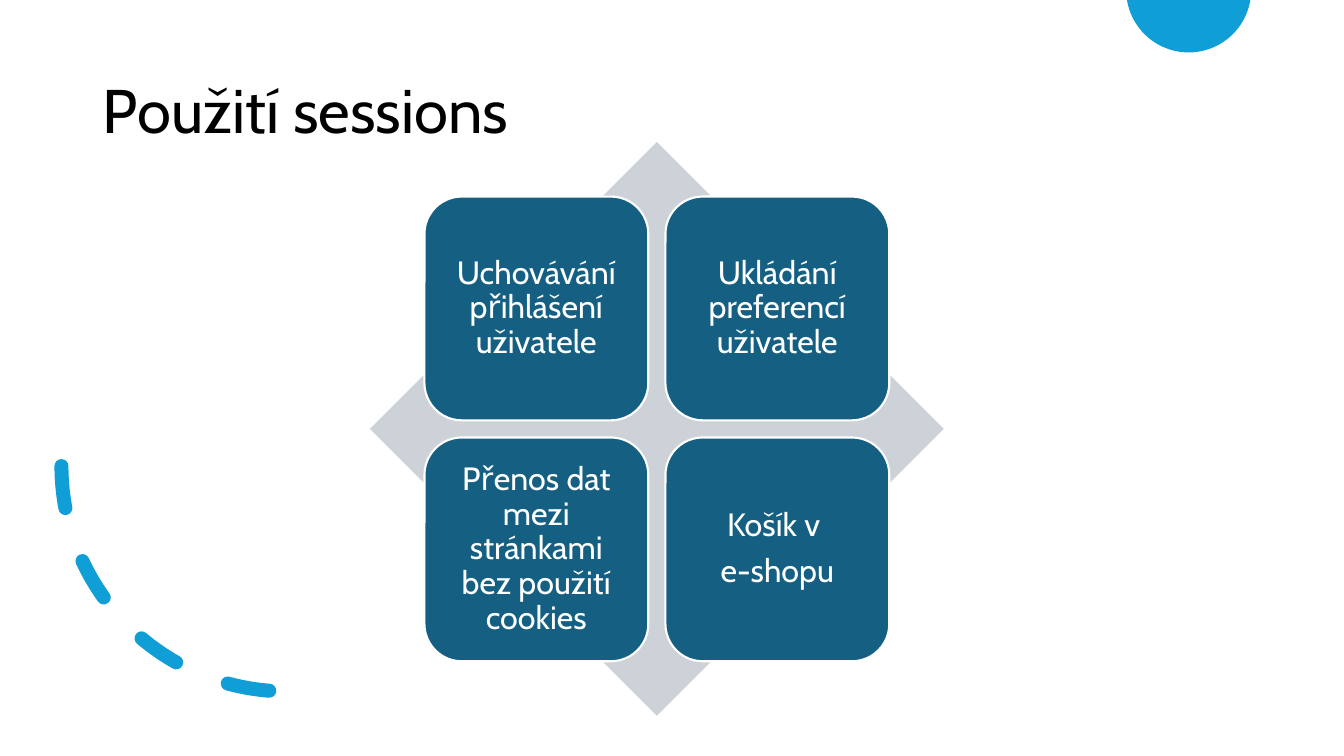
import math
from lxml import etree
from pptx import Presentation
from pptx.dml.color import RGBColor
from pptx.enum.dml import MSO_LINE
from pptx.enum.shapes import MSO_SHAPE
from pptx.enum.text import MSO_ANCHOR, PP_ALIGN
from pptx.util import Pt

PX = 9144
DASH = MSO_LINE.DASH
ARC, DIAMOND, ROUNDED = MSO_SHAPE.ARC, MSO_SHAPE.DIAMOND, MSO_SHAPE.ROUNDED_RECTANGLE
MIDDLE = MSO_ANCHOR.MIDDLE
LEFT, CENTER = PP_ALIGN.LEFT, PP_ALIGN.CENTER
BLUE, TEAL, GREY, WHITE, BLACK = "0F9ED5", "156082", "CCD2D8", "FFFFFF", "000000"


def color(target, value):
    if hasattr(target, "solid"):
        target.solid()
        target = target.fore_color
    target.rgb = RGBColor.from_string(value)


def write(shape, text, size, ink, align, margin=10, after=0):
    frame = shape.text_frame
    frame.word_wrap = True
    frame.vertical_anchor = MIDDLE
    frame.margin_left = frame.margin_right = margin * PX
    frame.margin_top = frame.margin_bottom = min(margin, 10) * PX
    frame.text = text
    for paragraph in frame.paragraphs:
        paragraph.alignment = align
        paragraph.line_spacing = 0.9
        paragraph.space_before = Pt(0)
        paragraph.space_after = Pt(after)
        paragraph.font.size = Pt(size)
        paragraph.font.name = "Cabin"
        color(paragraph.font.color, ink)


deck = Presentation()
deck.slide_width, deck.slide_height = 1333 * PX, 750 * PX
slide = deck.slides.add_slide(deck.slide_layouts[5])
shapes = slide.shapes

heading = shapes.title
heading.left, heading.top, heading.width, heading.height = 92 * PX, 40 * PX, 1150 * PX, 145 * PX
write(heading, "Použití sessions", 44, BLACK, LEFT)

center_x, center_y, radius, steps = 1179, -10, 62, 60
start = math.asin(-center_y / radius)
sweep = math.pi - 2 * start
rim = []
for step in range(steps + 1):
    angle = start + sweep * step / steps
    rim.append((round((center_x + radius * math.cos(angle)) * PX),
                round((center_y + radius * math.sin(angle)) * PX)))
outline = shapes.build_freeform(*rim[0])
outline.add_line_segments(rim[1:], close=True)
corner_disc = outline.convert_to_shape()
color(corner_disc.fill, BLUE)
corner_disc.line.fill.background()
corner_disc.shadow.inherit = False

dashed_arc = shapes.add_shape(ARC, 61 * PX, 239 * PX, 447 * PX, 447 * PX)
dashed_arc.rotation = 90
dashed_arc._element.spPr.xfrm.set("flipV", "1")
dashed_arc.fill.background()
color(dashed_arc.line.fill, BLUE)
dashed_arc.line.width = Pt(10)
dashed_arc.line.dash_style = DASH
dashed_arc.shadow.inherit = False
stroke = dashed_arc.line._get_or_add_ln()
stroke.set("cap", "rnd")
etree.SubElement(stroke, stroke.tag.replace("}ln", "}round"))

backdrop = shapes.add_shape(DIAMOND, 367 * PX, 141 * PX, 569 * PX, 569 * PX)
color(backdrop.fill, GREY)
backdrop.line.fill.background()
backdrop.shadow.inherit = False

uses = [
    "Uchovávání přihlášení uživatele",
    "Ukládání preferencí uživatele",
    "Přenos dat mezi stránkami bez použití cookies",
    "Košík v \ne-shopu",
]
tile, pitch = 222, 239
for index, use in enumerate(uses):
    row, column = divmod(index, 2)
    card = shapes.add_shape(ROUNDED, (421 + column * pitch) * PX, (195 + row * pitch) * PX,
                            tile * PX, tile * PX)
    color(card.fill, TEAL)
    color(card.line.fill, WHITE)
    card.line.width = Pt(1.5)
    card.shadow.inherit = False
    write(card, use, 23, WHITE, CENTER, after=8)

deck.save("out.pptx")
